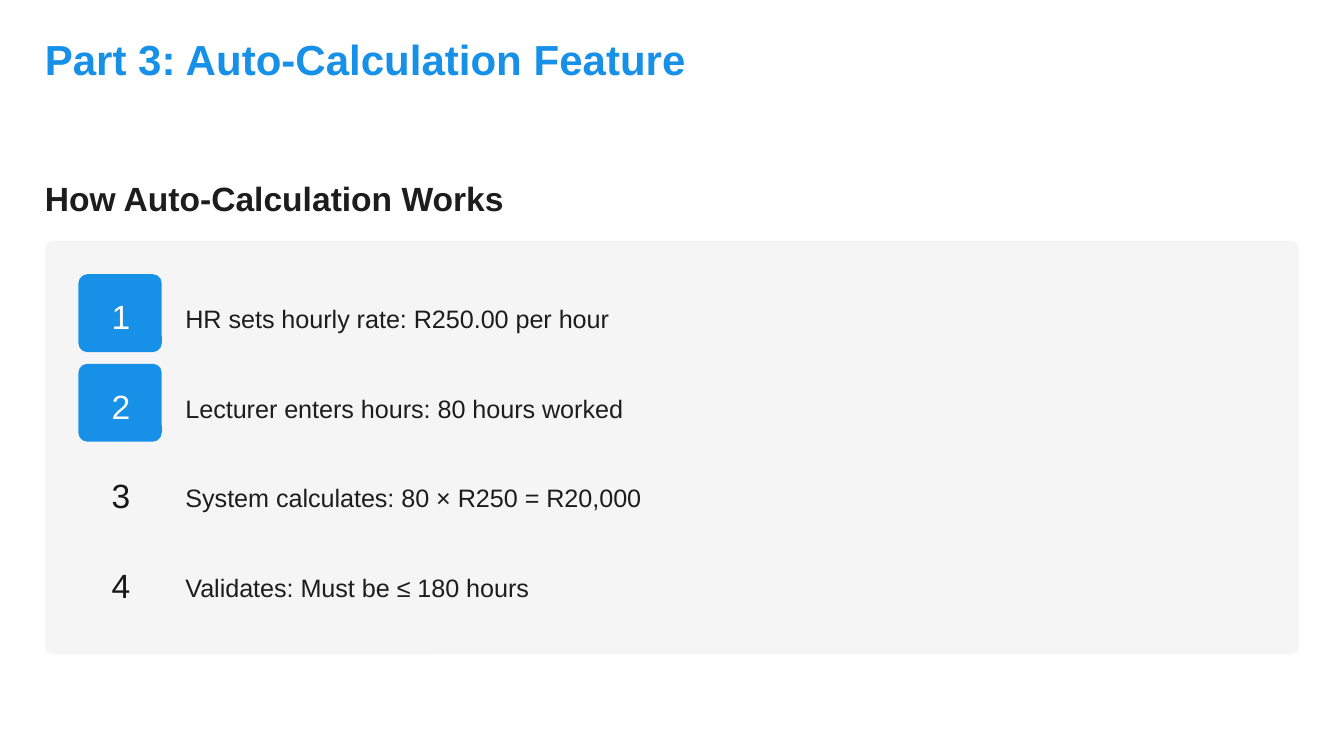
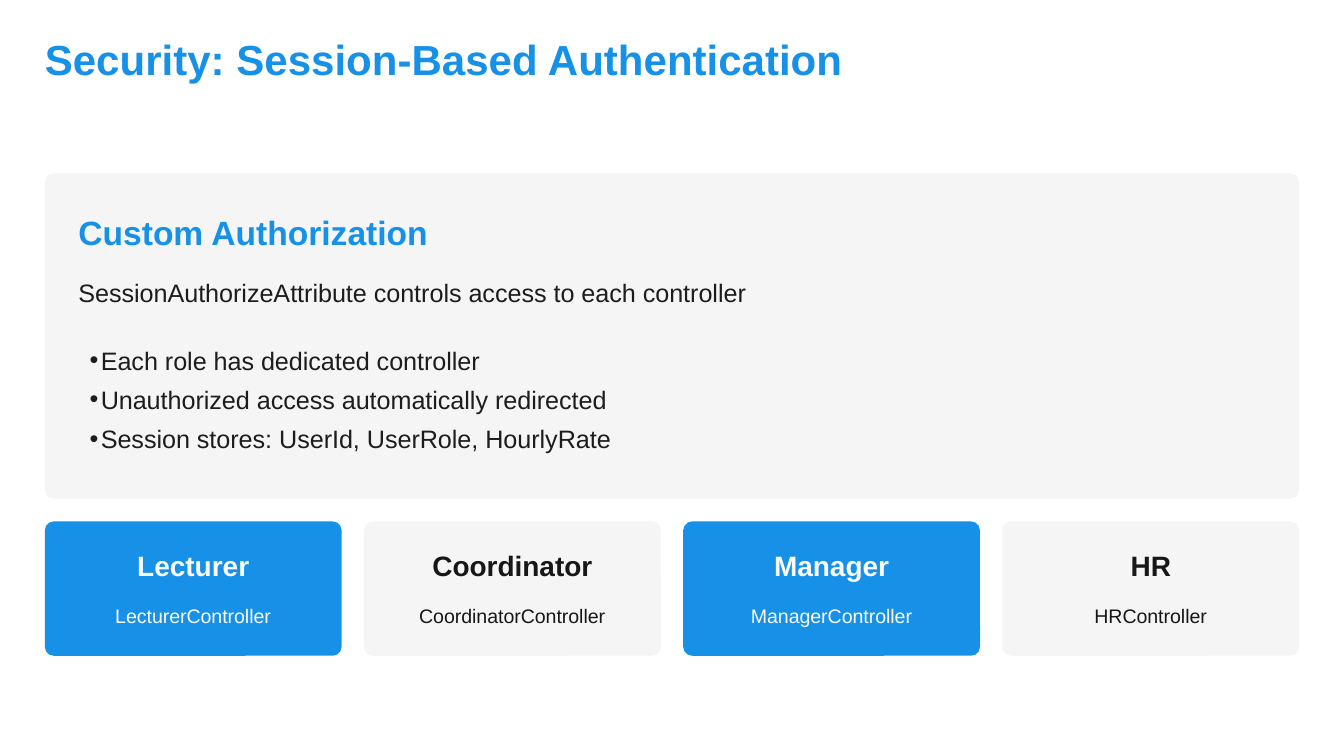
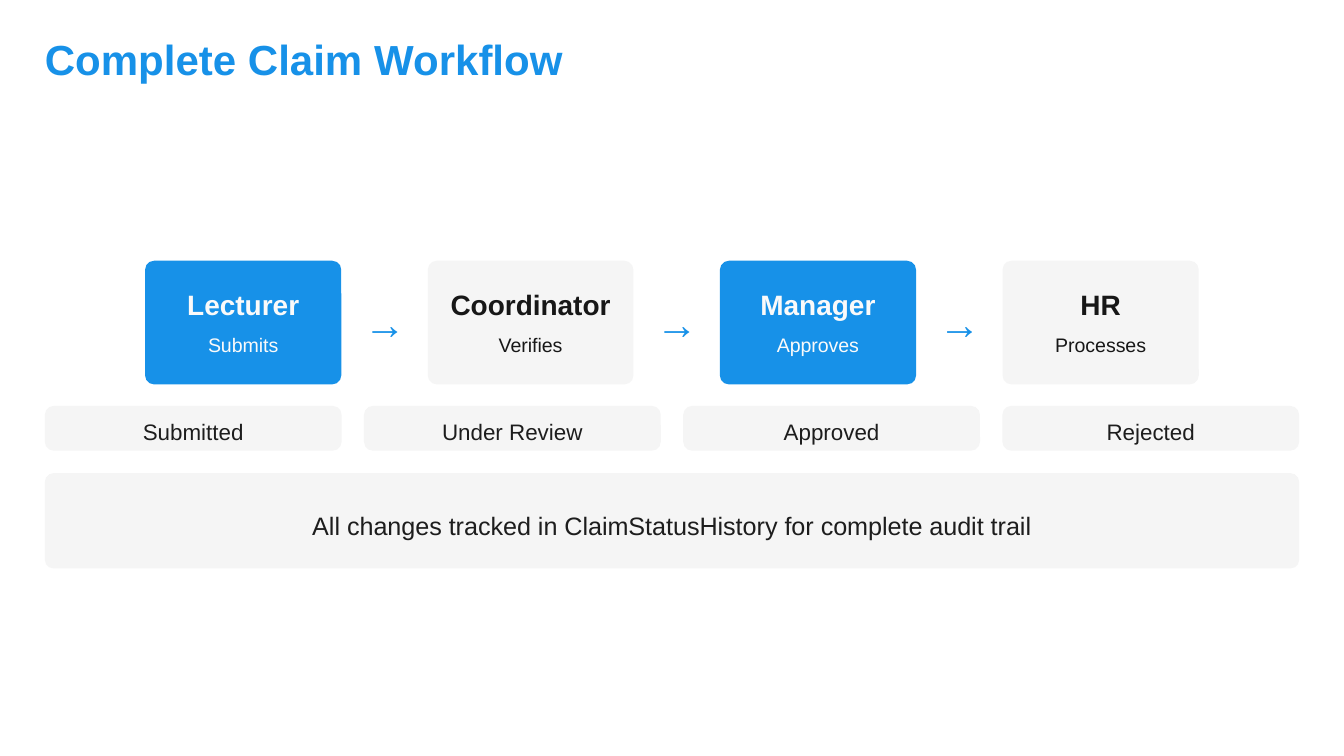
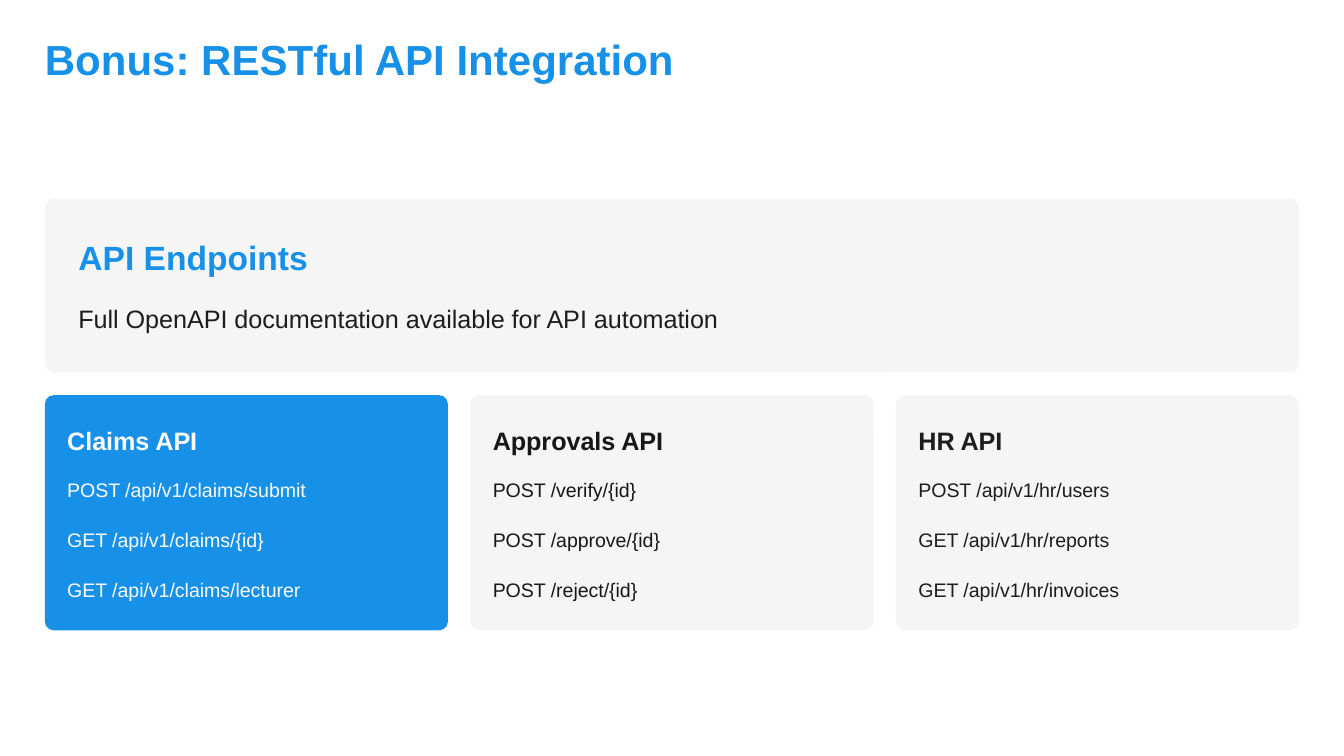
"""Build four slides on claim automation: calculation, security, workflow and API."""
from dataclasses import dataclass
from typing import Any, NamedTuple

from lxml import etree
from pptx import Presentation
from pptx import util as u
from pptx.dml.color import RGBColor
from pptx.enum import shapes, text
from pptx.oxml import ns


class TextStyle(NamedTuple):
    size: float
    line: float
    bold: bool = False
    space: float = 0

    @property
    def height(self) -> float:
        return self.line / 72


class Tone(NamedTuple):
    fill: str
    ink: str


class Box(NamedTuple):
    left: float
    top: float
    width: float
    height: float


class RoleCard(NamedTuple):
    role: str
    caption: str
    tone: Tone
    width: float = 0


class ApiCard(NamedTuple):
    name: str
    endpoints: tuple[str, ...]
    tone: Tone


@dataclass(frozen=True)
class Theme:
    font: str = "Arial"
    blue: str = "1791E8"
    ink: str = "1D1D1D"
    accent: Tone = Tone("1791E8", "FAFAFA")
    muted: Tone = Tone("F5F5F5", "171717")
    plain: Tone = Tone("F5F5F5", "1D1D1D")
    title: TextStyle = TextStyle(22.5, 27, True)
    arrow: TextStyle = TextStyle(22.5, 27, space=3)
    heading: TextStyle = TextStyle(18, 24, True)
    number: TextStyle = TextStyle(18, 24, space=3)
    role: TextStyle = TextStyle(15, 21, True)
    label: TextStyle = TextStyle(13.5, 21, True)
    body: TextStyle = TextStyle(13.5, 21, space=3)
    bullet: TextStyle = TextStyle(13.5, 21)
    status: TextStyle = TextStyle(12, 18, space=3)
    small: TextStyle = TextStyle(10.5, 15, space=3)
    page_width: float = 10
    margin: float = 1 / 3
    width: float = 28 / 3
    gap: float = 1 / 6
    pad: float = 0.25
    radius: float = 1 / 15


THEME = Theme()
CENTER = text.PP_ALIGN.CENTER
LEFT = text.PP_ALIGN.LEFT


def assign(target: Any, values: dict[str, Any]) -> None:
    for name, value in values.items():
        setattr(target, name, value)


def add_text(page: Any, left: float, top: float, width: float, lines: str | list[str],
             style: TextStyle, color: str = THEME.ink, align: Any = LEFT,
             bullet: str = "", indent: float = 0) -> None:
    lines = [lines] if isinstance(lines, str) else lines
    height = style.height * len(lines)
    box = page.shapes.add_textbox(*map(u.Inches, (left, top, width, height)))
    frame = box.text_frame
    assign(frame, {"word_wrap": True, "margin_left": u.Inches(indent), "margin_right": 0,
                   "margin_top": 0, "margin_bottom": 0})
    for index, line in enumerate(lines):
        para = frame.add_paragraph() if index else frame.paragraphs[0]
        assign(para, {"alignment": align, "line_spacing": u.Pt(style.line),
                      "space_before": u.Pt(style.space), "space_after": u.Pt(style.space)})
        span = para.add_run()
        span.text = line
        assign(span.font, {"name": THEME.font, "size": u.Pt(style.size), "bold": style.bold})
        span.font.color.rgb = RGBColor.from_string(color)
        if bullet:
            properties = para._p.get_or_add_pPr()
            properties.set("marL", str(u.Inches(indent)))
            properties.set("indent", str(-u.Inches(indent)))
            etree.SubElement(properties, ns.qn("a:buFont")).set("typeface", THEME.font)
            etree.SubElement(properties, ns.qn("a:buChar")).set("char", bullet)


def add_panel(page: Any, box: Box, tone: Tone = THEME.plain) -> None:
    panel = page.shapes.add_shape(shapes.MSO_SHAPE.ROUNDED_RECTANGLE, *map(u.Inches, box))
    panel.adjustments[0] = THEME.radius / min(box.width, box.height)
    panel.shadow.inherit = False
    panel.fill.solid()
    panel.fill.fore_color.rgb = RGBColor.from_string(tone.fill)
    panel.line.fill.background()


def add_page(deck: Any, title: str, title_width: float) -> Any:
    page = deck.slides.add_slide(deck.slide_layouts[6])
    add_text(page, THEME.margin, 0.25, title_width, title, THEME.title, THEME.blue)
    return page


def row_boxes(count: int, top: float, height: float) -> list[Box]:
    width = (THEME.width - THEME.gap * (count - 1)) / count
    return [Box(THEME.margin + i * (width + THEME.gap), top, width, height)
            for i in range(count)]


def add_intro_panel(page: Any, top: float, height: float, heading: str, body: str) -> None:
    add_panel(page, Box(THEME.margin, top, THEME.width, height))
    left = THEME.margin + THEME.pad
    add_text(page, left, top + THEME.pad, 9.01, heading, THEME.heading, THEME.blue)
    add_text(page, left, top + 0.71, 9.01, body, THEME.body)


def add_role_card(page: Any, box: Box, card: RoleCard, caption_drop: float) -> None:
    add_panel(page, box, card.tone)
    for line, style, drop in ((card.role, THEME.role, 0.16),
                              (card.caption, THEME.small, caption_drop)):
        add_text(page, box.left + 0.15, box.top + drop, box.width - 0.3, line, style,
                 card.tone.ink, CENTER)


def build_calculation(deck: Any) -> None:
    page = add_page(deck, "Part 3: Auto-Calculation Feature", 4.87)
    add_text(page, THEME.margin, 1.29, 9.52, "How Auto-Calculation Works", THEME.heading)
    add_panel(page, Box(THEME.margin, 1.79, THEME.width, 3.08))
    steps = (
        ("HR sets hourly rate: R250.00 per hour", 3.23, THEME.accent),
        ("Lecturer enters hours: 80 hours worked", 3.34, THEME.accent),
        ("System calculates: 80 × R250 = R20,000", 3.48, THEME.muted),
        ("Validates: Must be ≤ 180 hours", 2.62, THEME.muted),
    )
    for index, (step, width, tone) in enumerate(steps):
        top = 2.04 + index * 2 / 3
        add_panel(page, Box(THEME.margin + THEME.pad, top, 0.62, 0.58), tone)
        add_text(page, 0.75, top + 0.13, 0.3, str(index + 1), THEME.number, tone.ink, CENTER)
        add_text(page, 1.38, top + 0.15, width, step, THEME.body)


def build_security(deck: Any) -> None:
    page = add_page(deck, "Security: Session-Based Authentication", 6.05)
    add_intro_panel(page, 1.29, 2.42, "Custom Authorization",
                    "SessionAuthorizeAttribute controls access to each controller")
    rules = ["Each role has dedicated controller",
             "Unauthorized access automatically redirected",
             "Session stores: UserId, UserRole, HourlyRate"]
    add_text(page, THEME.margin + THEME.pad, 2.5, 8.83, rules, THEME.bullet,
             bullet="•", indent=1 / 12)
    cards = (
        RoleCard("Lecturer", "LecturerController", THEME.accent),
        RoleCard("Coordinator", "CoordinatorController", THEME.muted),
        RoleCard("Manager", "ManagerController", THEME.accent),
        RoleCard("HR", "HRController", THEME.muted),
    )
    for box, card in zip(row_boxes(len(cards), 3.88, 1), cards):
        add_role_card(page, box, card, 0.58)


def build_workflow(deck: Any) -> None:
    page = add_page(deck, "Complete Claim Workflow", 4.77)
    stages = (
        RoleCard("Lecturer", "Submits", THEME.accent, 1.46),
        RoleCard("Coordinator", "Verifies", THEME.muted, 1.53),
        RoleCard("Manager", "Approves", THEME.accent, 1.46),
        RoleCard("HR", "Processes", THEME.muted, 1.46),
    )
    left, arrow_width = 1.08, 0.31
    for index, stage in enumerate(stages):
        if index:
            add_text(page, left + THEME.gap, 2.21, arrow_width, "→", THEME.arrow,
                     THEME.blue, CENTER)
            left += arrow_width + 2 * THEME.gap
        add_role_card(page, Box(left, 1.94, stage.width, 0.92), stage, 0.5)
        left += stage.width
    statuses = ("Submitted", "Under Review", "Approved", "Rejected")
    for box, status in zip(row_boxes(len(statuses), 3.02, 1 / 3), statuses):
        add_panel(page, box)
        add_text(page, box.left - 0.02, box.top + 0.04, box.width + 0.04, status,
                 THEME.status, align=CENTER)
    add_panel(page, Box(THEME.margin, 3.52, THEME.width, 0.71))
    add_text(page, 0.41, 3.73, 9.18,
             "All changes tracked in ClaimStatusHistory for complete audit trail",
             THEME.body, align=CENTER)


def build_api(deck: Any) -> None:
    page = add_page(deck, "Bonus: RESTful API Integration", 4.77)
    add_intro_panel(page, 1.48, 1.29, "API Endpoints",
                    "Full OpenAPI documentation available for API automation")
    cards = (
        ApiCard("Claims API", ("POST /api/v1/claims/submit", "GET /api/v1/claims/{id}",
                               "GET /api/v1/claims/lecturer"), THEME.accent),
        ApiCard("Approvals API", ("POST /verify/{id}", "POST /approve/{id}",
                                  "POST /reject/{id}"), THEME.muted),
        ApiCard("HR API", ("POST /api/v1/hr/users", "GET /api/v1/hr/reports",
                           "GET /api/v1/hr/invoices"), THEME.plain),
    )
    for box, card in zip(row_boxes(len(cards), 2.94, 1.75), cards):
        add_panel(page, box, card.tone)
        left, width = box.left + THEME.gap, 2.72
        add_text(page, left, box.top + 0.16, width, card.name, THEME.label, card.tone.ink)
        for index, endpoint in enumerate(card.endpoints):
            add_text(page, left, 3.52 + index * 3 / 8, width, endpoint, THEME.small,
                     card.tone.ink)


def main() -> None:
    deck = Presentation()
    assign(deck, {"slide_width": u.Inches(THEME.page_width),
                  "slide_height": u.Inches(THEME.page_width * 9 / 16)})
    for build in (build_calculation, build_security, build_workflow, build_api):
        build(deck)
    deck.save("out.pptx")


if __name__ == "__main__":
    main()
